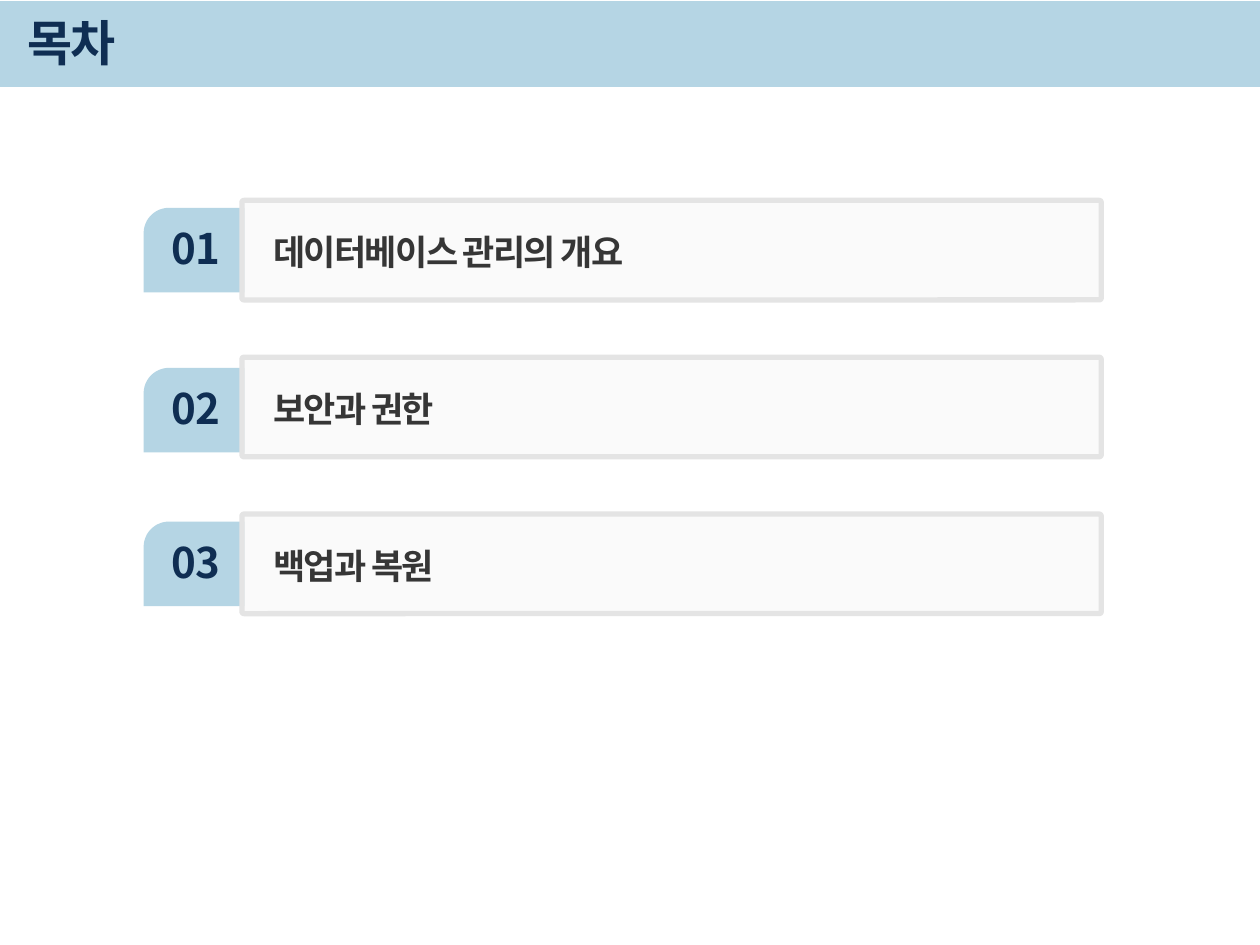
"""Build the table-of-contents slide with three numbered sections."""
from lxml import etree
from pptx import Presentation
from pptx.dml.color import RGBColor
from pptx.enum.shapes import MSO_SHAPE
from pptx.enum.text import MSO_ANCHOR, MSO_AUTO_SIZE, PP_ALIGN
from pptx.oxml.ns import qn
from pptx.util import Inches, Pt

RECTANGLE = MSO_SHAPE.RECTANGLE
ROUNDED = MSO_SHAPE.ROUNDED_RECTANGLE
ROUND_CORNER_TAB = MSO_SHAPE.SNIP_ROUND_RECTANGLE
TOP, MIDDLE = MSO_ANCHOR.TOP, MSO_ANCHOR.MIDDLE
LEFT, CENTER = PP_ALIGN.LEFT, PP_ALIGN.CENTER
FIT_SHAPE = MSO_AUTO_SIZE.SHAPE_TO_FIT_TEXT

FONT = "Noto Sans CJK KR"
SKY = RGBColor(0xB5, 0xD5, 0xE4)
NAVY = RGBColor(0x0F, 0x2E, 0x53)
CHARCOAL = RGBColor(0x36, 0x36, 0x36)
PANEL_FILL = RGBColor(0xF2, 0xF2, 0xF2)
PANEL_LINE = RGBColor(0xE4, 0xE4, 0xE4)


def add_text(text, left, top, width, height, size, color, align=LEFT,
             anchor=TOP, wrap=True, fit=True, tracking=None):
    box = slide.shapes.add_textbox(Inches(left), Inches(top), Inches(width), Inches(height))
    frame = box.text_frame
    frame.word_wrap = wrap
    frame.vertical_anchor = anchor
    if fit:
        frame.auto_size = FIT_SHAPE
    paragraph = frame.paragraphs[0]
    paragraph.alignment = align
    run = paragraph.add_run()
    run.text = text
    run.font.size = Pt(size)
    run.font.bold = True
    run.font.color.rgb = color
    run.font.name = FONT
    properties = run.font._element
    etree.SubElement(properties, qn("a:ea")).set("typeface", FONT)
    if tracking is not None:
        properties.set("spc", str(tracking * 100))
    return paragraph


def add_block(kind, left, top, width, height, fill):
    block = slide.shapes.add_shape(kind, Inches(left), Inches(top), Inches(width), Inches(height))
    block.shadow.inherit = False
    block.fill.solid()
    block.fill.fore_color.rgb = fill
    block.line.fill.background()
    return block


prs = Presentation()
prs.slide_width = Inches(10)
prs.slide_height = Inches(7.5)
slide = prs.slides.add_slide(prs.slide_layouts[6])

add_block(RECTANGLE, 0, 0.01, 10, 0.68, SKY)
add_text("목차", 0.12, 0.07, 8.51, 0.52, size=28, color=NAVY,
         anchor=MIDDLE, fit=False, tracking=-1)

PANEL_TOP, PANEL_PITCH = 1.59, 1.245
sections = [
    ("01", "데이터베이스 관리의 개요", 1.65),
    ("02", "보안과 권한", 2.92),
    ("03", "백업과 복원", 4.14),
]
for index, (number, heading, tab_top) in enumerate(sections):
    panel_top = PANEL_TOP + index * PANEL_PITCH

    tab = add_block(ROUND_CORNER_TAB, 1.14, tab_top, 0.8, 0.67, SKY)
    tab.adjustments[0] = 0.3
    tab.adjustments[1] = 0
    add_text(number, 1.26, tab_top + 0.07, 0.59, 0.5, size=24, color=NAVY,
             align=CENTER, wrap=False)

    panel = add_block(ROUNDED, 1.92, panel_top, 6.82, 0.79, PANEL_FILL)
    panel.adjustments[0] = 0.02
    panel.line.color.rgb = PANEL_LINE
    panel.line.width = Pt(3)
    panel_color = panel._element.spPr.find(qn("a:solidFill"))[0]
    etree.SubElement(panel_color, qn("a:alpha")).set("val", "33000")

    entry = add_text(heading, 2.07, panel_top + 0.16, 5.28, 0.44, size=20,
                     color=CHARCOAL, tracking=-1)
    entry.line_spacing = 1.1
    entry.space_before = Pt(18)
    entry.space_after = Pt(3)

prs.save("out.pptx")
